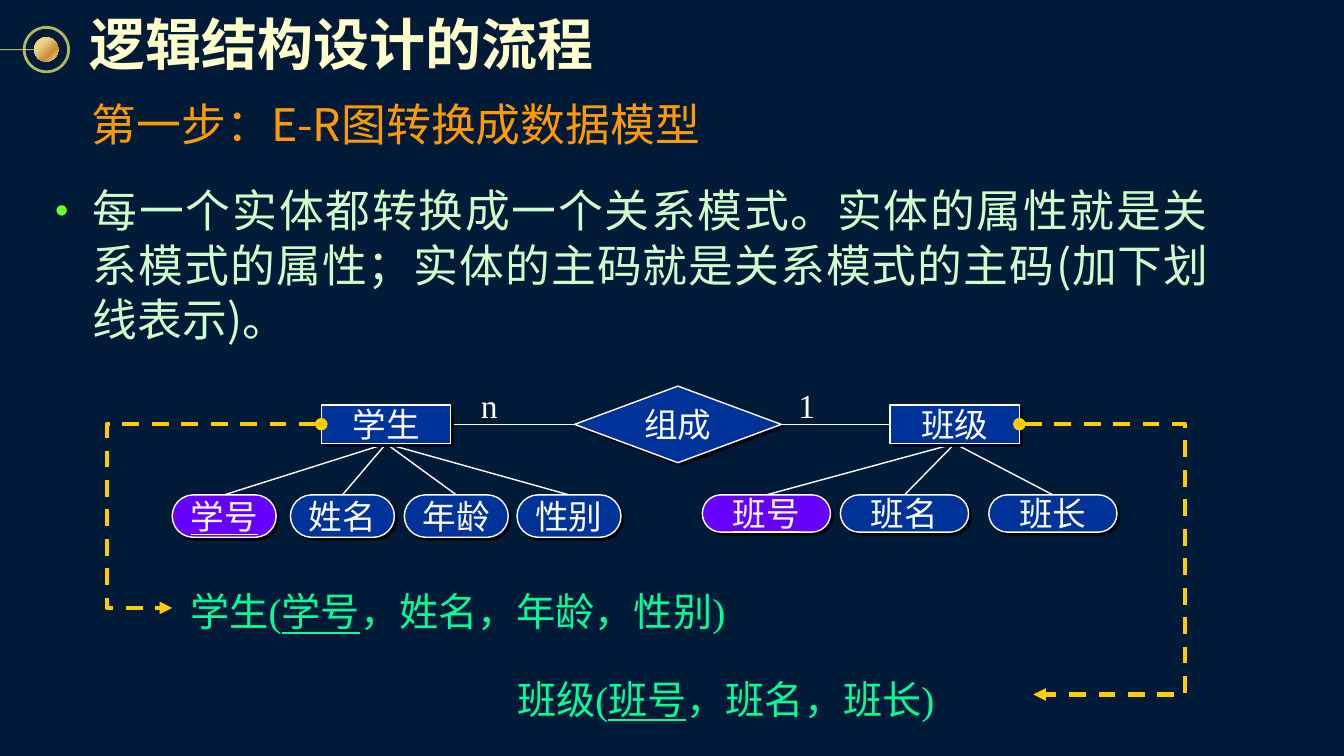
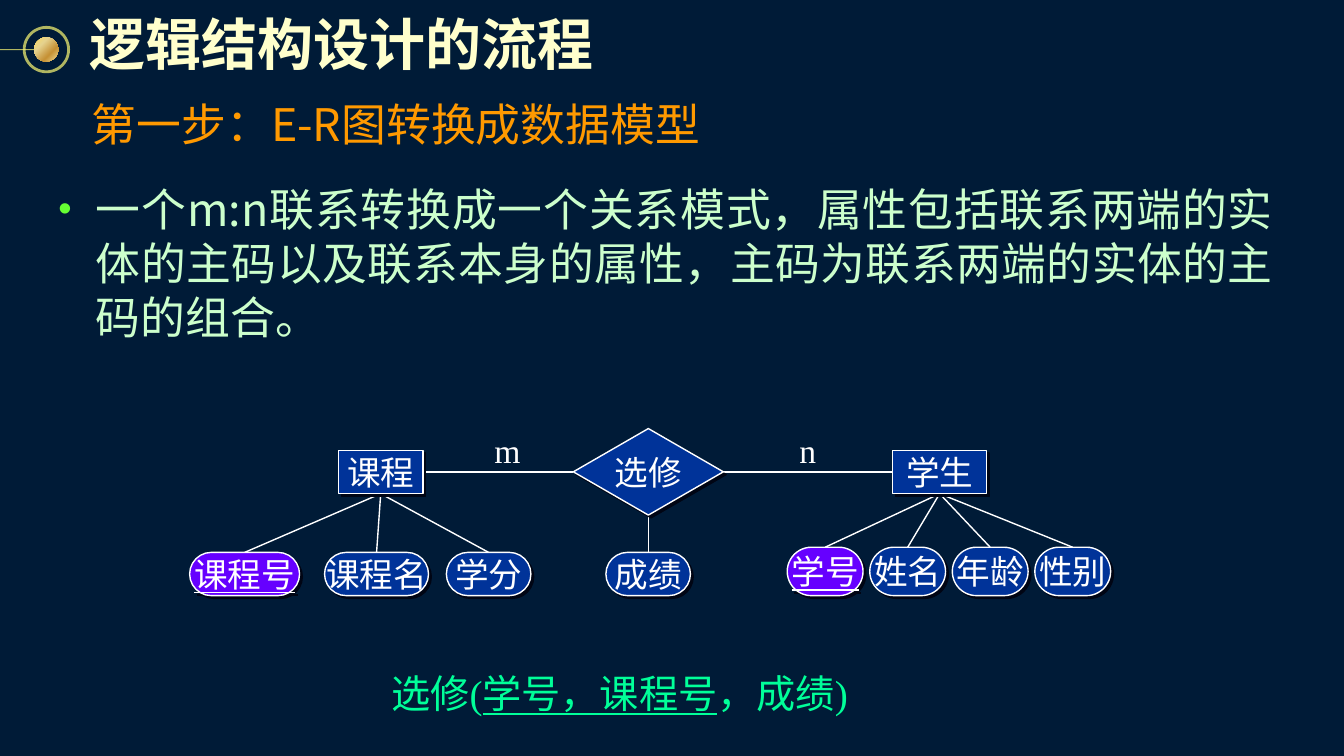
import pptx
import pptx.util
import pptx.dml.color
import pptx.enum.dml
import pptx.enum.shapes
import pptx.enum.text
import pptx.oxml
import pptx.oxml.ns

Cm = pptx.util.Cm
Pt = pptx.util.Pt
RGBColor = pptx.dml.color.RGBColor
qn = pptx.oxml.ns.qn
Preset = pptx.enum.shapes.MSO_SHAPE
Link = pptx.enum.shapes.MSO_CONNECTOR
Align = pptx.enum.text.PP_ALIGN
Anchor = pptx.enum.text.MSO_ANCHOR

NAVY = RGBColor(0x00, 0x1B, 0x37)
BLUE = RGBColor(0x00, 0x33, 0x99)
VIOLET = RGBColor(0x66, 0x00, 0xFF)
WHITE = RGBColor(0xFF, 0xFF, 0xFF)
CREAM = RGBColor(0xFF, 0xFF, 0xCC)
ORANGE = RGBColor(0xFF, 0x99, 0x00)
MINT = RGBColor(0xCC, 0xFF, 0xCC)
GREEN = RGBColor(0x00, 0xFF, 0x99)
LIME = RGBColor(0x66, 0xFF, 0x33)
AMBER = RGBColor(0xFF, 0xCC, 0x00)
GOLD = RGBColor(0xFC, 0xF8, 0x73)
SHADE = RGBColor(0x00, 0x05, 0x14)
BLACK = RGBColor(0x00, 0x00, 0x00)
DOT_STOPS = [(0, "FCD860"), (31, "E6D38F"), (68, "C69135"), (100, "F1DF97")]

SANS = "Noto Sans CJK SC"
SERIF = "Times New Roman"

TITLE = "逻辑结构设计的流程"
STEP = "第一步：E-R图转换成数据模型"

SLIDES = [
    {
        "rule": "每一个实体都转换成一个关系模式。实体的属性就是关系模式的属性；"
                "实体的主码就是关系模式的主码(加下划线表示)。",
        "rule_box": (1.14, 4.48, 29.57, 4.2),
        "relation": ("组成", (14.48, 9.73, 5.21, 1.93)),
        "entities": [
            {"name": "学生", "box": (8.1, 10.21, 3.26, 0.97), "top": 12.47, "height": 1.07,
             "attributes": [("学号", 4.34, 2.62), ("姓名", 7.32, 2.62),
                            ("年龄", 10.19, 2.62), ("性别", 13.03, 2.62)]},
            {"name": "班级", "box": (22.43, 10.21, 3.26, 0.97), "top": 12.47, "height": 0.94,
             "attributes": [("班号", 17.7, 3.23), ("班名", 21.18, 3.23), ("班长", 24.92, 3.23)]},
        ],
        "cardinalities": [("n", 12.33), ("1", 20.33)],
        "relation_attribute": None,
        "schemas": [
            (("学生(", "学号", "，姓名，年龄，性别)"), (4.8, 14.81, 18.9, 1.19)),
            (("班级(", "班号", "，班名，班长)"), (13.03, 17.02, 12.7, 1.19)),
        ],
        "arrows": [((8.1, 10.69), 2.69, (4.34, 15.32)),
                   ((25.69, 10.69), 29.87, (26.04, 17.5))],
    },
    {
        "rule": "一个m:n联系转换成一个关系模式，属性包括联系两端的实体的主码以及"
                "联系本身的属性，主码为联系两端的实体的主码的组合。",
        "rule_box": (1.22, 4.44, 31.12, 4.2),
        "relation": ("选修", (14.45, 10.8, 3.78, 2.18)),
        "entities": [
            {"name": "课程", "box": (8.53, 11.35, 2.13, 1.09), "top": 13.92, "height": 1.09,
             "attributes": [("课程号", 4.78, 2.77), ("课程名", 8.18, 2.62), ("学分", 11.25, 2.13)]},
            {"name": "学生", "box": (22.5, 11.35, 2.36, 1.09), "top": 13.79, "height": 1.22,
             "attributes": [(name, 19.84 + 2.08 * i, 1.91)
                            for i, name in enumerate(["学号", "姓名", "年龄", "性别"])]},
        ],
        "cardinalities": [("m", 12.79), ("n", 20.36)],
        "relation_attribute": ("成绩", (15.27, 13.92, 2.13, 1.09)),
        "schemas": [(("选修(", "学号，课程号", "，成绩)"), (9.86, 16.86, 12.27, 1.19))],
        "arrows": [],
    },
]


def cms(values):
    return [Cm(v) for v in values]


def add_child(parent, tag, **attributes):
    child = parent.makeelement(qn(tag), attributes)
    parent.append(child)
    return child


def add_shadow(effects, color, distance):
    shadow = add_child(effects, "a:outerShdw", dist=str(Pt(distance)),
                       dir="2700000", algn="ctr", rotWithShape="0")
    add_child(shadow, "a:srgbClr", val=str(color))


def add_run(paragraph, text, size, color, font, bold=False, underline=False):
    run = paragraph.add_run()
    run.text = text
    run.font.size = Pt(size)
    run.font.name = font
    run.font.color.rgb = color
    run.font.bold = bold
    run.font.underline = underline
    run.font.language_id = pptx.enum.lang.MSO_LANGUAGE_ID.SIMPLIFIED_CHINESE
    latin = run.font.fill and run._r.rPr.find(qn("a:latin"))
    latin.addnext(latin.makeelement(qn("a:ea"), {"typeface": SANS}))
    return run


def set_frame(frame, inset, anchor, wrap):
    frame.margin_left = frame.margin_right = Cm(inset[0])
    frame.margin_top = frame.margin_bottom = Cm(inset[1])
    frame.vertical_anchor = anchor
    frame.word_wrap = wrap
    return frame.paragraphs[0]


def add_text(slide, box, inset=(0, 0), anchor=Anchor.TOP, wrap=True):
    return set_frame(slide.shapes.add_textbox(*cms(box)).text_frame, inset, anchor, wrap)


def add_line(slide, start, end, color=WHITE, width=1, kind=Link.STRAIGHT):
    line = slide.shapes.add_connector(kind, *cms(start + end))
    line.line.color.rgb = color
    line.line.width = Pt(width)
    add_child(line.element.spPr, "a:effectLst")
    return line


def add_node(slide, preset, text, box, key=False):
    node = slide.shapes.add_shape(preset, *cms(box))
    if preset == Preset.ROUNDED_RECTANGLE:
        node.adjustments[0] = 0.5
    node.fill.solid()
    node.fill.fore_color.rgb = VIOLET if key else BLUE
    node.line.color.rgb = WHITE
    node.line.width = Pt(1)
    node.shadow.inherit = False
    add_shadow(node.element.spPr.find(qn("a:effectLst")), SHADE, 2.8)
    paragraph = set_frame(node.text_frame, (0, 0), Anchor.MIDDLE, False)
    paragraph.alignment = Align.CENTER
    add_run(paragraph, text, 24, WHITE, SERIF, underline=key)


def add_arrow(slide, start, turn, end):
    arrow = add_line(slide, start, end, AMBER, 3, Link.ELBOW)
    arrow.line.dash_style = pptx.enum.dml.MSO_LINE.DASH
    ratio = round((turn - start[0]) / (end[0] - start[0]) * 100000)
    geometry = arrow.element.spPr.find(qn("a:prstGeom"))
    add_child(geometry.find(qn("a:avLst")), "a:gd", name="adj1", fmla=f"val {ratio}")
    outline = arrow.element.spPr.find(qn("a:ln"))
    add_child(outline, "a:headEnd", type="oval")
    add_child(outline, "a:tailEnd", type="triangle")


def add_ornament(slide, layout):
    ring = slide.shapes.add_shape(Preset.OVAL, *cms((0.61, 0.69, 1.12, 1.12)))
    ring.fill.background()
    ring.line.color.rgb = GOLD
    ring.line.width = Pt(2)
    ring.shadow.inherit = False
    stem = add_line(slide, (0, 1.25), (0.86, 1.25), GOLD, 0.75)
    for part in (ring, stem):
        color = next(part.element.spPr.find(qn("a:ln")).iter(qn("a:srgbClr")))
        add_child(color, "a:alpha", val="70000")
    dot = slide.shapes.add_shape(Preset.OVAL, *cms((0.86, 0.94, 0.61, 0.61)))
    dot.rotation = 270
    dot.line.fill.background()
    dot.shadow.inherit = False
    dot.fill.gradient()
    gradient = dot.element.spPr.find(qn("a:gradFill"))
    stops = gradient.find(qn("a:gsLst"))
    for stop in list(stops):
        stops.remove(stop)
    for position, color in DOT_STOPS:
        add_child(add_child(stops, "a:gs", pos=str(position * 1000)), "a:srgbClr", val=color)
    gradient.find(qn("a:lin")).set("ang", str(135 * 60000))
    for part in (ring, stem, dot):
        layout.shapes.element.append(part.element)


def add_headings(slide, rule, rule_box):
    title = add_text(slide, (2.06, 0.03, 13.23, 2.11), (0.2, 0.2), Anchor.MIDDLE, False)
    run = add_run(title, TITLE, 40, CREAM, "Arial", bold=True)
    fill = run._r.rPr.find(qn("a:solidFill"))
    effects = fill.makeelement(qn("a:effectLst"), {})
    fill.addnext(effects)
    add_shadow(effects, BLACK, 2.8)

    step = add_text(slide, (2.06, 2.29, 24.89, 1.63), (0.25, 0.13), Anchor.MIDDLE)
    add_run(step, STEP, 32, ORANGE, SANS)

    body = add_text(slide, rule_box, (0.25, 0.13))
    body.alignment = Align.JUSTIFY
    body.line_spacing = Pt(38.6)
    properties = body._p.get_or_add_pPr()
    properties.set("marL", str(Cm(0.95)))
    properties.set("indent", str(Cm(-0.95)))
    add_child(add_child(properties, "a:buClr"), "a:srgbClr", val=str(LIME))
    add_child(properties, "a:buSzPct", val="85000")
    add_child(properties, "a:buFont", typeface="Arial")
    add_child(properties, "a:buChar", char="•")
    add_run(body, rule, 32, MINT, SANS)


def add_diagram(slide, content):
    name, diamond = content["relation"]
    left, top, width, height = diamond
    middle = top + height / 2
    for entity, corner in zip(content["entities"], (left, left + width)):
        x, y, w, h = entity["box"]
        side = x + w if x < left else x
        add_line(slide, (side, middle), (corner, middle))
        for i, (attribute, ax, aw) in enumerate(entity["attributes"]):
            add_line(slide, (x + w / 2, y + h), (ax + aw / 2, entity["top"]))
            add_node(slide, Preset.ROUNDED_RECTANGLE, attribute,
                     (ax, entity["top"], aw, entity["height"]), key=i == 0)
        add_node(slide, Preset.RECTANGLE, entity["name"], entity["box"])
    if content["relation_attribute"]:
        attribute, box = content["relation_attribute"]
        center = left + width / 2
        add_line(slide, (center, top + height), (center, box[1]))
        add_node(slide, Preset.ROUNDED_RECTANGLE, attribute, box)
    add_node(slide, Preset.DIAMOND, name, diamond)
    for label, center in content["cardinalities"]:
        paragraph = add_text(slide, (center - 1, top, 2, height / 2), anchor=Anchor.MIDDLE)
        paragraph.alignment = Align.CENTER
        add_run(paragraph, label, 24, WHITE, SERIF)


def add_schemas(slide, schemas):
    for parts, box in schemas:
        paragraph = add_text(slide, box)
        paragraph.line_spacing = Pt(33.6)
        for i, part in enumerate(parts):
            add_run(paragraph, part, 28, GREEN, SERIF, underline=i == 1)


def main():
    deck = pptx.Presentation()
    deck.slide_width, deck.slide_height = cms((33.87, 19.05))
    background = deck.slide_master.background.fill
    background.solid()
    background.fore_color.rgb = NAVY
    layout = deck.slide_layouts[6]
    for number, content in enumerate(SLIDES):
        slide = deck.slides.add_slide(layout)
        if number == 0:
            add_ornament(slide, layout)
        add_headings(slide, content["rule"], content["rule_box"])
        add_diagram(slide, content)
        add_schemas(slide, content["schemas"])
        for arrow in content["arrows"]:
            add_arrow(slide, *arrow)


    deck.save("out.pptx")


if __name__ == "__main__":
    main()
